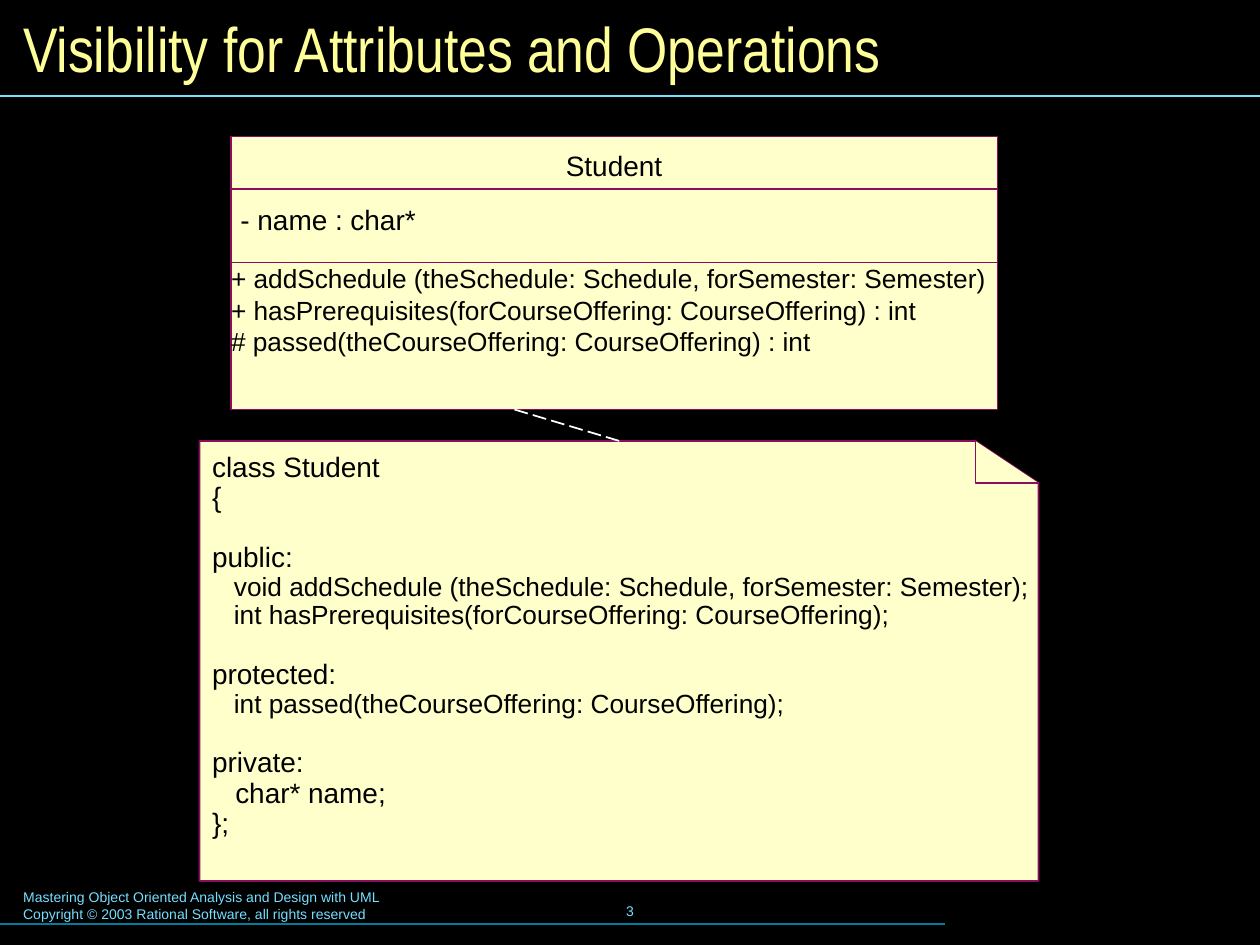
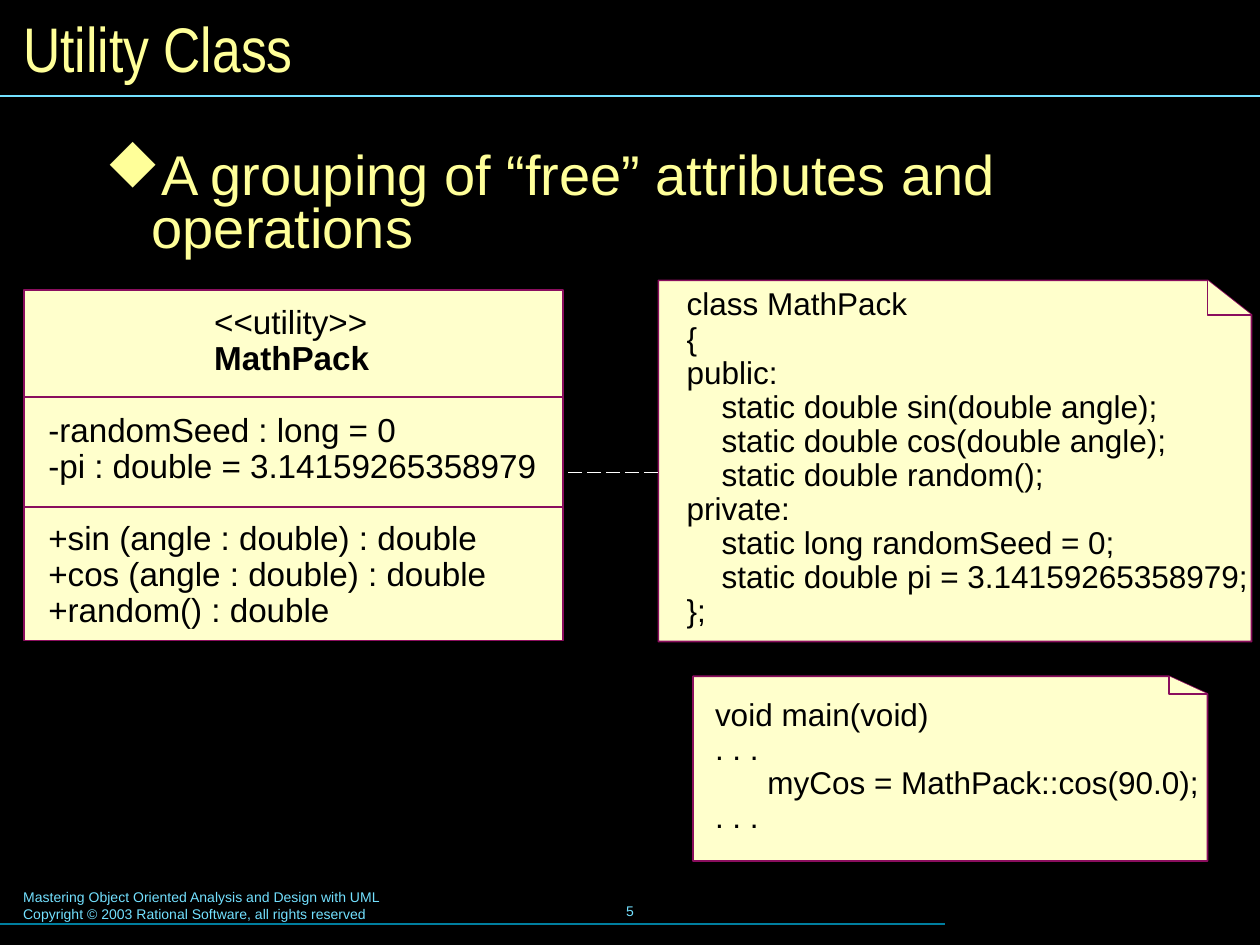
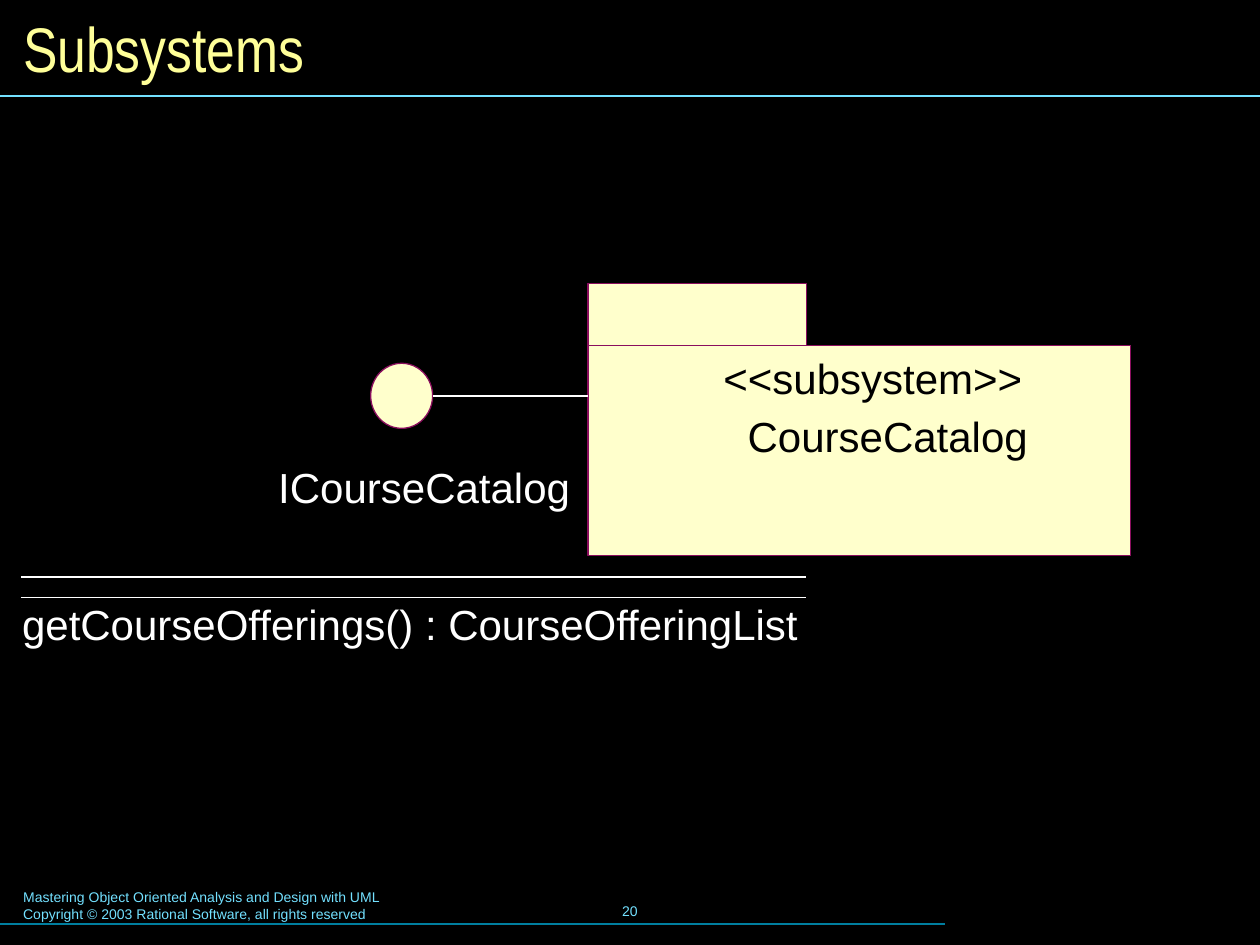
from pptx import Presentation
from pptx.dml.color import RGBColor
from pptx.enum.dml import MSO_LINE
from pptx.enum.shapes import MSO_CONNECTOR, MSO_SHAPE
from pptx.enum.text import MSO_ANCHOR, MSO_AUTO_SIZE, PP_ALIGN
from pptx.oxml.ns import qn
from pptx.util import Inches, Pt
from lxml.etree import SubElement

COLORS = {
    "background": "000000",
    "title": "FFFF99",
    "header_rule": "73E1FF",
    "footer_text": "73E1FF",
    "footer_rule": "007E9F",
    "paper": "FFFFCC",
    "border": "8A0E5E",
    "ink": "000000",
    "chalk": "FFFFFF",
}
WIDTH, HEIGHT = Inches(10), Inches(7.5)
COLUMNS = 120
CELL = WIDTH // COLUMNS
FOOTER = [
    "Mastering Object Oriented Analysis and Design with UML",
    "Copyright © 2003 Rational Software, all rights reserved",
]


def grid(*cells):
    return [round(cell * CELL) for cell in cells]


def color(name):
    return RGBColor.from_string(COLORS[name])


def style_font(font, size, ink, face="Arial", bold=False):
    font.name = face
    font.size = Pt(size)
    font.bold = bold
    font.color.rgb = color(ink)


def clear_margins(frame):
    frame.margin_left = frame.margin_right = 0
    frame.margin_top = frame.margin_bottom = 0


def add_text(page, at, groups, size, ink="ink", spacing=1.0, align=PP_ALIGN.LEFT,
             anchor=MSO_ANCHOR.TOP, bold_lines=()):
    box = page.shapes.add_textbox(*grid(*at))
    frame = box.text_frame
    frame.word_wrap = True
    frame.vertical_anchor = anchor
    clear_margins(frame)
    para = None
    for group in groups:
        for position, line in enumerate(group):
            text, line_size = line if isinstance(line, tuple) else (line, size)
            starts_group = para is not None and position == 0
            para = frame.paragraphs[0] if para is None else frame.add_paragraph()
            para.alignment = align
            para.line_spacing = spacing
            para.space_before = Pt(round(size * 1.07) if starts_group else 0)
            span = para.add_run()
            span.text = text
            style_font(span.font, line_size, ink, bold=text in bold_lines)
    return box


def add_bullet(page, at, text):
    box = add_text(page, at, [[text]], 32, "title", 0.8)
    properties = box.text_frame.paragraphs[0]._p.get_or_add_pPr()
    properties.set("marL", str(Inches(0.37)))
    properties.set("indent", str(-Inches(0.37)))
    symbols = SubElement(properties, qn("a:buFont"))
    symbols.set("typeface", "Wingdings")
    symbols.set("charset", "2")
    SubElement(properties, qn("a:buChar")).set("char", "u")


def add_line(page, start, end, ink="border", width=1, dashed=False):
    line = page.shapes.add_connector(MSO_CONNECTOR.STRAIGHT, *grid(*start, *end))
    line.line.color.rgb = color(ink)
    line.line.width = Pt(width)
    if dashed:
        line.line.dash_style = MSO_LINE.LONG_DASH
    SubElement(line._element.spPr, qn("a:effectLst"))


def paint_paper(shape, width):
    shape.shadow.inherit = False
    shape.fill.solid()
    shape.fill.fore_color.rgb = color("paper")
    shape.line.color.rgb = color("border")
    shape.line.width = Pt(width)


def add_paper(page, at, width=0, kind=MSO_SHAPE.RECTANGLE):
    paint_paper(page.shapes.add_shape(kind, *grid(*at)), width)


def add_outline(page, points, close):
    first, *rest = [grid(*point) for point in points]
    builder = page.shapes.build_freeform(*first)
    builder.add_line_segments(rest, close=close)
    paint_paper(builder.convert_to_shape(), 1)


def add_note(page, at, fold):
    left, top, width, height = at
    right, bottom = left + width, top + height
    fold_x, fold_y = right - fold[0], top + fold[1]
    add_outline(page, [(right, bottom), (left, bottom), (left, top),
                       (fold_x, top), (right, fold_y)], True)
    add_outline(page, [(right, fold_y), (fold_x, fold_y), (fold_x, top)], False)


def add_class_box(page, at, dividers, width):
    add_paper(page, at, width)
    left, right = at[0], at[0] + at[2]
    for row in dividers:
        add_line(page, (left, row), (right, row))


def add_page(deck, title, number):
    page = deck.slides.add_slide(deck.slide_layouts[5])
    page.background.fill.solid()
    page.background.fill.fore_color.rgb = color("background")
    heading = page.shapes.title
    heading.left, heading.top, heading.width, heading.height = grid(1, 1, 118, 7)
    frame = heading.text_frame
    frame.auto_size = MSO_AUTO_SIZE.NONE
    frame.vertical_anchor = MSO_ANCHOR.MIDDLE
    para = frame.paragraphs[0]
    para.alignment = PP_ALIGN.LEFT
    span = para.add_run()
    span.text = title
    style_font(span.font, 36, "title", "Arial Narrow")
    add_line(page, (0, 9.15), (COLUMNS, 9.15), "header_rule", 0.75)
    add_line(page, (0, 88), (COLUMNS * 0.75, 88), "footer_rule", 0.75)
    add_text(page, (2.2, 84.6, 58, 3.4), [FOOTER], 8, "footer_text")
    add_text(page, (41, 83.8, 38, 6), [[str(number)]], 8, "footer_text",
             align=PP_ALIGN.CENTER, anchor=MSO_ANCHOR.MIDDLE)
    return page


def build_visibility(deck):
    page = add_page(deck, "Visibility for Attributes and Operations", 3)
    add_note(page, (19, 42, 79.9, 41.9), (6, 4))
    add_class_box(page, (22, 13, 73, 26), (18, 25), 0)
    add_line(page, (49, 39), (59, 42), "chalk", dashed=True)
    add_text(page, (53.9, 14.1, 12, 3.2), [["Student"]], 16)
    add_text(page, (22.9, 19.3, 20, 3.2), [["- name : char*"]], 16)
    add_text(page, (22, 25, 74, 9), [[
        "+ addSchedule (theSchedule: Schedule, forSemester: Semester)",
        "+ hasPrerequisites(forCourseOffering: CourseOffering) : int",
        "# passed(theCourseOffering: CourseOffering) : int",
    ]], 15)
    add_text(page, (20.2, 43.2, 82, 37), [
        ["class Student", "{"],
        ["public:",
         ("   void addSchedule (theSchedule: Schedule, forSemester: Semester);", 15),
         ("   int hasPrerequisites(forCourseOffering: CourseOffering);", 15)],
        ["protected:",
         ("   int passed(theCourseOffering: CourseOffering);", 15)],
        ["private:", "   char* name;", "};"],
    ], 16, spacing=0.9)


def build_utility(deck):
    page = add_page(deck, "Utility Class", 5)
    add_class_box(page, (2.3, 27.6, 51.3, 33.4), (37.8, 48.3), 1)
    add_note(page, (62.7, 26.7, 56.5, 34.4), (4.2, 3.3))
    add_note(page, (66, 64.4, 49, 17.6), (3.7, 1.7))
    compartments = [
        (20.4, ["<<utility>>", "MathPack"]),
        (4.6, ["-randomSeed : long = 0", "-pi : double = 3.14159265358979"]),
        (4.6, ["+sin (angle : double) : double", "+cos (angle : double) : double",
               "+random() : double"]),
    ]
    for index, (left, lines) in enumerate(compartments):
        add_text(page, (left, 29.1 + 10.3 * index, 52 - left, 3.4 * len(lines)),
                 [lines], 19, spacing=0.9, bold_lines=("MathPack",))
    add_text(page, (65.4, 27.5, 54.5, 32.5), [[
        "class MathPack",
        "{",
        "public:",
        "    static double sin(double angle);",
        "    static double cos(double angle);",
        "    static double random();",
        "private:",
        "    static long randomSeed = 0;",
        "    static double pi = 3.14159265358979;",
        "};",
    ]], 18, spacing=0.9)
    add_line(page, (54.1, 45), (62.7, 45), "chalk", dashed=True)
    add_text(page, (68.1, 66.6, 48, 13), [[
        "void main(void)",
        ". . .",
        "      myCos = MathPack::cos(90.0);",
        ". . .",
    ]], 18, spacing=0.9)
    add_bullet(page, (10, 14.5, 106, 12), "A grouping of “free” attributes and operations")


def build_subsystems(deck):
    page = add_page(deck, "Subsystems", 20)
    add_paper(page, (56, 32.9, 51.7, 20))
    add_paper(page, (56, 27, 20.8, 5.9))
    add_paper(page, (35.3, 34.6, 5.9, 6.2), kind=MSO_SHAPE.OVAL)
    labels = [
        (68.9, 33.6, 32, "<<subsystem>>", "ink"),
        (71.2, 39.1, 32, "CourseCatalog", "ink"),
        (26.5, 44, 32, "ICourseCatalog", "chalk"),
        (2.1, 57, 80, "getCourseOfferings() : CourseOfferingList", "chalk"),
    ]
    for left, top, width, text, ink in labels:
        add_text(page, (left, top, width, 4.8), [[text]], 24, ink)
    add_line(page, (41.2, 37.7), (56, 37.7), "chalk")
    for row in (54.95, 56.9):
        add_line(page, (2, row), (76.8, row), "chalk")


def main():
    deck = Presentation()
    deck.slide_width, deck.slide_height = WIDTH, HEIGHT
    build_visibility(deck)
    build_utility(deck)
    build_subsystems(deck)
    deck.save("out.pptx")


if __name__ == "__main__":
    main()
